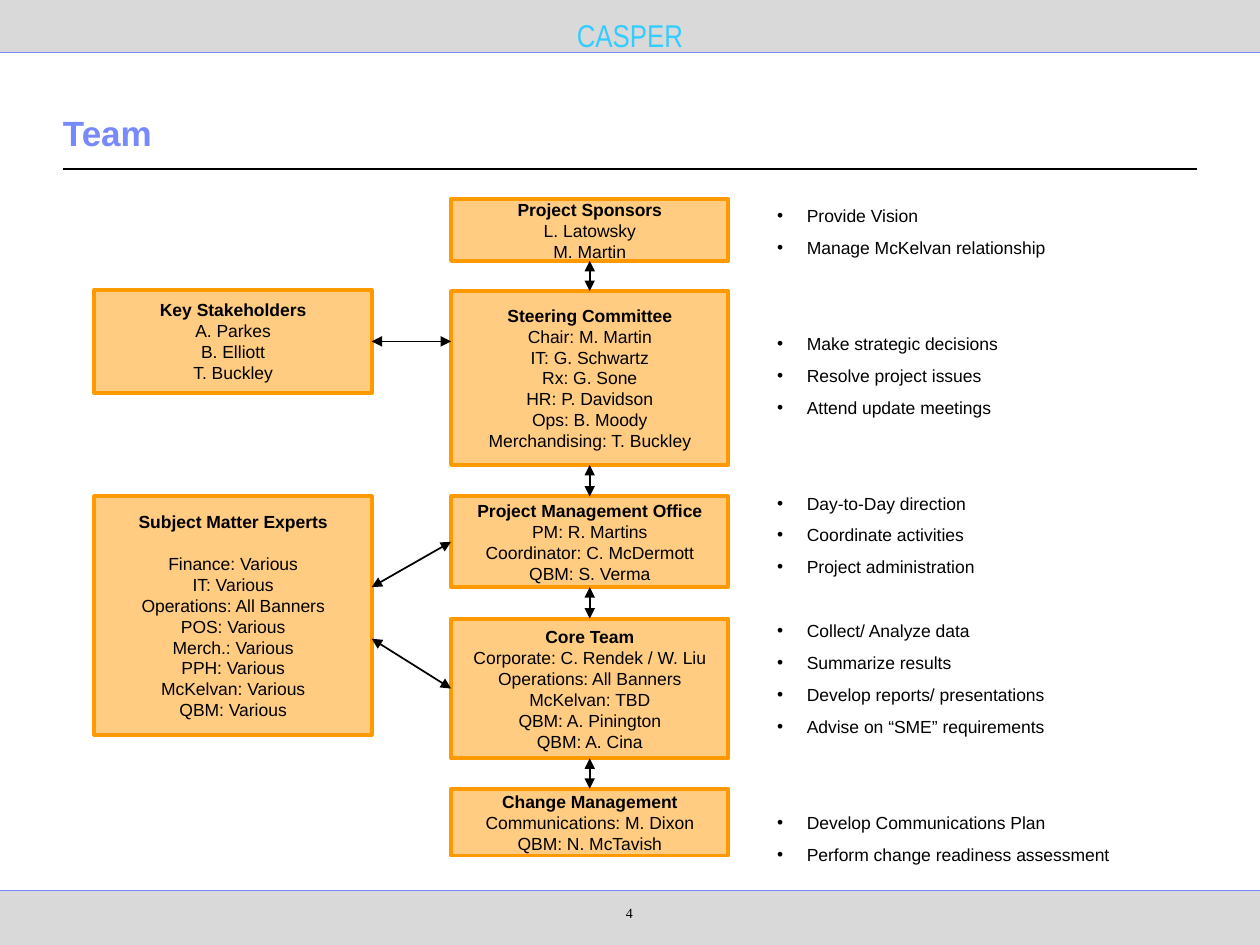
from dataclasses import dataclass

from lxml.etree import SubElement
from pptx import Presentation
from pptx.dml.color import RGBColor as RGB
from pptx.enum.shapes import MSO_CONNECTOR as Connector, MSO_SHAPE as Shape
from pptx.enum.text import MSO_ANCHOR as Anchor, PP_ALIGN as Align
from pptx.oxml.ns import qn
from pptx.util import Pt


@dataclass(frozen=True)
class Theme:
    band = RGB(0xD9, 0xD9, 0xD9)
    accent = RGB(0x78, 0x89, 0xFB)
    banner = RGB(0x33, 0xCC, 0xFF)
    card = RGB(0xFF, 0xCC, 0x81)
    border = RGB(0xFF, 0x99, 0x00)
    ink = RGB(0, 0, 0)
    sans = "Arial"
    narrow = "Arial Narrow"
    serif = "Times New Roman"
    title_size = 20
    banner_size = 18
    body_size = 10
    number_size = 8
    line_pitch = 12
    bullet_gap = 6.25


THEME = Theme()
WIDTH, HEIGHT = 720, 540
TOP_BAND, FOOTER_TOP = 30.2, 509
CARD_WIDTH = 158.4
TEAM_LEFT, ADVISER_LEFT = 257.8, 54

# Each card: top, height, heading, members
TEAMS = [
    (113.8, 35.3, "Project Sponsors", ["L. Latowsky", "M. Martin"]),
    (166.3, 99.4, "Steering Committee",
     ["Chair: M. Martin", "IT: G. Schwartz", "Rx: G. Sone", "HR: P. Davidson",
      "Ops: B. Moody", "Merchandising: T. Buckley"]),
    (283.7, 51.8, "Project Management Office",
     ["PM: R. Martins", "Coordinator: C. McDermott", "QBM: S. Verma"]),
    (353.5, 79.9, "Core Team",
     ["Corporate: C. Rendek / W. Liu", "Operations: All Banners",
      "McKelvan: TBD", "QBM: A. Pinington", "QBM: A. Cina"]),
    (450.7, 38.2, "Change Management",
     ["Communications: M. Dixon", "QBM: N. McTavish"]),
]
STAKEHOLDERS = (165.6, 59, "Key Stakeholders",
                ["A. Parkes", "B. Elliott", "T. Buckley"])
EXPERTS = (283.7, 136.1, "Subject Matter Experts",
           ["Finance: Various", "IT: Various", "Operations: All Banners",
            "POS: Various", "Merch.: Various", "PPH: Various",
            "McKelvan: Various", "QBM: Various"])

# Each group of duties: bullet rows left free above it, duties
DUTIES = [
    (0, ["Provide Vision", "Manage McKelvan relationship"]),
    (2, ["Make strategic decisions", "Resolve project issues",
         "Attend update meetings"]),
    (2, ["Day-to-Day direction", "Coordinate activities",
         "Project administration"]),
    (1, ["Collect/ Analyze data", "Summarize results",
         "Develop reports/ presentations", "Advise on “SME” requirements"]),
    (2, ["Develop Communications Plan", "Perform change readiness assessment"]),
]


def style(paragraph, size, color=THEME.ink, name=THEME.sans, bold=False):
    font = paragraph.font
    font.size, font.name, font.bold = Pt(size), name, bold
    font.color.rgb = color


def add_rect(slide, left, top, width, height, fill):
    rect = slide.shapes.add_shape(Shape.RECTANGLE, Pt(left), Pt(top),
                                  Pt(width), Pt(height))
    rect.shadow.inherit = False
    rect.fill.solid()
    rect.fill.fore_color.rgb = fill
    rect.line.fill.background()
    return rect


def add_line(slide, start, end, color=THEME.ink, weight=1.0):
    line = slide.shapes.add_connector(Connector.STRAIGHT,
                                      *(Pt(value) for value in (*start, *end)))
    line.line.color.rgb = color
    line.line.width = Pt(weight)
    SubElement(line._element.spPr, qn("a:effectLst"))
    return line


def add_arrow(slide, start, end):
    """Draw a line with a triangle at both ends."""
    arrow = add_line(slide, start, end)
    outline = arrow.line._get_or_add_ln()
    for tip in ("a:headEnd", "a:tailEnd"):
        SubElement(outline, qn(tip), type="triangle")
    return arrow


def add_textbox(slide, left, top, width, height):
    box = slide.shapes.add_textbox(Pt(left), Pt(top), Pt(width), Pt(height))
    box.text_frame.word_wrap = True
    return box.text_frame


def add_card(slide, left, top, height, heading, members, heading_gap=0):
    card = add_rect(slide, left, top, CARD_WIDTH, height, THEME.card)
    card.line.color.rgb = THEME.border
    card.line.width = Pt(2.25)
    frame = card.text_frame
    frame.word_wrap = True
    frame.vertical_anchor = Anchor.MIDDLE
    frame.text = "\n".join([heading, *members])
    for row, paragraph in enumerate(frame.paragraphs):
        paragraph.alignment = Align.CENTER
        paragraph.line_spacing = Pt(THEME.line_pitch)
        style(paragraph, THEME.body_size, bold=row == 0)
    frame.paragraphs[0].space_after = Pt(heading_gap)
    return card


def add_bullet(paragraph, hang=17):
    properties = paragraph._p.get_or_add_pPr()
    properties.set("marL", str(Pt(hang)))
    properties.set("indent", str(-Pt(hang)))
    SubElement(properties, qn("a:buFont"), typeface=THEME.sans)
    SubElement(properties, qn("a:buChar"), char="•")


def add_duties(slide):
    frame = add_textbox(slide, 437, 113.8, 234.7, 384.5)
    rows = [(free if place == 0 else 0, duty)
            for free, duties in DUTIES for place, duty in enumerate(duties)]
    frame.text = "\n".join(duty for _, duty in rows)
    pitch = THEME.line_pitch + THEME.bullet_gap
    for row, (paragraph, (free, _)) in enumerate(zip(frame.paragraphs, rows)):
        paragraph.line_spacing = Pt(THEME.line_pitch)
        if row:
            paragraph.space_before = Pt(THEME.bullet_gap + free * pitch)
        add_bullet(paragraph)
        style(paragraph, THEME.body_size)


def add_page_frame(slide):
    add_rect(slide, 0, FOOTER_TOP, WIDTH, HEIGHT - FOOTER_TOP, THEME.band)
    add_rect(slide, 0, 0, WIDTH, TOP_BAND, THEME.band)
    for y in (TOP_BAND, FOOTER_TOP):
        add_line(slide, (0, y), (WIDTH, y), THEME.accent, 0.5)
    add_line(slide, (36, 96.5), (684, 96.5), weight=0.75)

    banner = add_textbox(slide, 320, 8, 80, 24)
    banner.margin_left = banner.margin_right = 0
    banner.vertical_anchor = Anchor.MIDDLE
    banner.text = "CASPER"
    banner.paragraphs[0].alignment = Align.CENTER
    style(banner.paragraphs[0], THEME.banner_size, THEME.banner, THEME.narrow)

    title = add_textbox(slide, 36, 46, 648, 45.4)
    title.margin_left = title.margin_right = 0
    title.vertical_anchor = Anchor.BOTTOM
    title.text = "Team"
    style(title.paragraphs[0], THEME.title_size, THEME.accent, bold=True)

    number = add_textbox(slide, 307.4, 512, 82.8, 25.2)
    number.margin_left, number.margin_top = Pt(28.8), Pt(5)
    number.text = "4"
    number.paragraphs[0].alignment = Align.CENTER
    style(number.paragraphs[0], THEME.number_size, name=THEME.serif)


def add_team_chart(slide):
    teams = [add_card(slide, TEAM_LEFT, *team) for team in TEAMS]
    stakeholders = add_card(slide, ADVISER_LEFT, *STAKEHOLDERS)
    add_card(slide, ADVISER_LEFT, *EXPERTS, heading_gap=THEME.line_pitch)

    for upper, lower in zip(teams, teams[1:]):
        arrow = add_arrow(slide, (0, 0), (0, 0))
        arrow.begin_connect(upper, 2)
        arrow.end_connect(lower, 0)

    adviser_right = ADVISER_LEFT + CARD_WIDTH
    middle = STAKEHOLDERS[0] + STAKEHOLDERS[1] / 2
    advice = add_arrow(slide, (adviser_right, middle), (TEAM_LEFT, middle))
    advice.begin_connect(stakeholders, 3)
    for y, team in zip((335.5, 365), teams[2:4]):
        arrow = add_arrow(slide, (adviser_right, y), (TEAM_LEFT, y))
        arrow.end_connect(team, 1)


def main():
    deck = Presentation()
    deck.slide_width, deck.slide_height = Pt(WIDTH), Pt(HEIGHT)
    slide = deck.slides.add_slide(deck.slide_layouts[6])
    add_page_frame(slide)
    add_team_chart(slide)
    add_duties(slide)
    deck.save("out.pptx")


if __name__ == "__main__":
    main()
